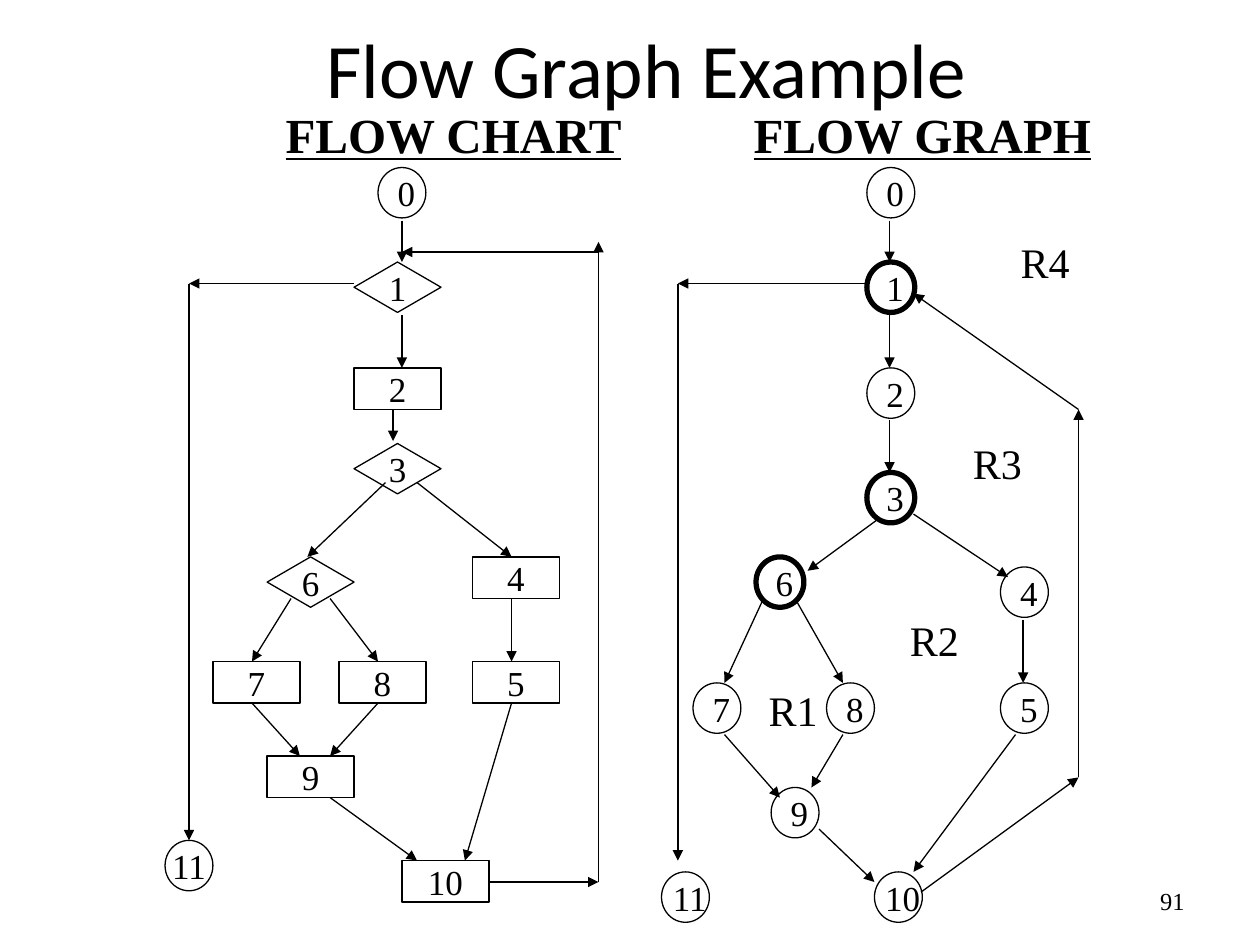
import pptx
import pptx.util
import pptx.dml.color
import pptx.enum.shapes
import pptx.enum.text
import pptx.oxml.ns
from lxml import etree

Inches = pptx.util.Inches
Pt = pptx.util.Pt
Kind = pptx.enum.shapes.MSO_SHAPE
Align = pptx.enum.text.PP_ALIGN
Anchor = pptx.enum.text.MSO_ANCHOR


def color(text):
    return pptx.dml.color.RGBColor.from_string(text)


class Board:
    ink = "000000"
    serif = "Times New Roman"
    thin = 0.75
    thick = 3
    shapes = {
        "round": (Kind.OVAL, 0.38, 0.4),
        "choice": (Kind.FLOWCHART_DECISION, 0.69, 0.4),
        "step": (Kind.RECTANGLE, 0.69, 0.33),
    }

    def __init__(self, slide):
        self.slide = slide

    def label(self, frame, text, size, font=None, bold=False, line=False,
              align=Align.CENTER):
        para = frame.paragraphs[0]
        para.alignment = align
        run = para.add_run()
        run.text = text
        run.font.size = Pt(size)
        run.font.name = font or self.serif
        run.font.bold = bold
        run.font.underline = line
        run.font.color.rgb = color(self.ink)

    def text(self, box, text, size, wrap=False, anchor=Anchor.TOP, **look):
        item = self.slide.shapes.add_textbox(*map(Inches, box))
        frame = item.text_frame
        frame.word_wrap = wrap
        frame.vertical_anchor = anchor
        self.label(frame, text, size, **look)

    def node(self, kind, left, top, text, shift=0, bold=False):
        """Draw a numbered node; shift is the left inset of its number."""
        form, width, height = self.shapes[kind]
        item = self.slide.shapes.add_shape(
            form, *map(Inches, (left, top, width, height)))
        item.shadow.inherit = False
        item.fill.background()
        item.line.color.rgb = color(self.ink)
        item.line.width = Pt(self.thick if bold else self.thin)
        frame = item.text_frame
        frame.word_wrap = False
        frame.vertical_anchor = Anchor.MIDDLE
        frame.margin_left = Inches(shift)
        frame.margin_right = frame.margin_top = frame.margin_bottom = 0
        self.label(frame, text, 20)

    def arrow(self, *ends):
        item = self.slide.shapes.add_connector(
            pptx.enum.shapes.MSO_CONNECTOR.STRAIGHT, *map(Inches, ends))
        item.line.color.rgb = color(self.ink)
        item.line.width = Pt(self.thin)
        qn = pptx.oxml.ns.qn
        props = item.element.spPr
        tail = etree.SubElement(props.find(qn("a:ln")), qn("a:tailEnd"))
        tail.set("type", "triangle")
        etree.SubElement(props, qn("a:effectLst"))


CHART = [
    ("round", 3, 1.33, "0", 0.07),
    ("choice", 2.81, 2.08, "1"),
    ("step", 2.81, 2.92, "2"),
    ("choice", 2.81, 3.52, "3"),
    ("step", 3.75, 4.42, "4"),
    ("step", 3.75, 5.25, "5"),
    ("choice", 2.12, 4.42, "6"),
    ("step", 1.69, 5.25, "7"),
    ("step", 2.69, 5.25, "8"),
    ("step", 2.12, 6, "9"),
    ("step", 3.19, 6.83, "10"),
    ("round", 1.31, 6.67, "11"),
]
# Places of graph nodes 0 to 11
GRAPH = [
    (6.88, 1.33), (6.88, 2.08), (6.88, 2.92), (6.88, 3.75),
    (7.94, 4.5), (7.94, 5.42), (6, 4.42), (5.5, 5.42),
    (6.56, 5.42), (6.12, 6.25), (6.94, 6.92), (5.25, 6.92),
]
FORKS = (1, 3, 6)
CHART_FLOW = [
    (3.19, 1.75, 3.19, 2.08), (3.19, 2.5, 3.19, 2.92),
    (3.12, 3.25, 3.12, 3.5), (3.06, 3.83, 2.44, 4.42),
    (3.31, 3.83, 4.06, 4.42), (4.06, 4.75, 4.06, 5.25),
    (2.31, 4.75, 2, 5.25), (2.62, 4.75, 3, 5.25),
    (2, 5.58, 2.38, 6), (3, 5.58, 2.62, 6),
    (2.62, 6.33, 3.31, 6.83), (4.06, 5.58, 3.69, 6.83),
    (2.81, 2.25, 1.5, 2.25), (1.5, 2.25, 1.5, 6.67),
    (3.88, 7, 4.75, 7), (4.75, 7, 4.75, 1.92), (4.75, 2, 3.19, 2),
]
GRAPH_FLOW = [
    (7.06, 1.75, 7.06, 2.08), (7.06, 2.5, 7.06, 2.92),
    (7.06, 3.33, 7.06, 3.75), (6.97, 4.12, 6.41, 4.53),
    (7.25, 4.08, 8, 4.58), (6.06, 4.75, 5.75, 5.42),
    (6.31, 4.75, 6.69, 5.42), (5.75, 5.83, 6.19, 6.33),
    (6.69, 5.83, 6.44, 6.25), (6.5, 6.58, 6.94, 7),
    (8.06, 5.83, 7.25, 6.92), (8.12, 4.92, 8.12, 5.42),
    (6.88, 2.25, 5.38, 2.25), (5.38, 2.25, 5.38, 6.83),
    (7.31, 7.08, 8.56, 6.17), (8.56, 6.17, 8.56, 3.25),
    (8.56, 3.25, 7.25, 2.33),
]
REGIONS = [(6, 5.38), (7.12, 4.83), (7.62, 3.42), (8, 1.83)]


def main():
    deck = pptx.Presentation()
    deck.slide_width, deck.slide_height = Inches(10), Inches(7.5)
    board = Board(deck.slides.add_slide(deck.slide_layouts[6]))

    board.text((1.94, 0, 6.38, 1.08), "Flow Graph Example", 44, wrap=True,
               anchor=Anchor.MIDDLE, font="Calibri")
    board.text((7.17, 6.95, 2.33, 0.4), "91", 14, wrap=True,
               anchor=Anchor.MIDDLE, align=Align.RIGHT)

    for node in CHART:
        board.node(*node)
    for ends in CHART_FLOW:
        board.arrow(*ends)
    for num, (left, top) in enumerate(GRAPH):
        board.node("round", left, top, str(num), 0.07, num in FORKS)
    for ends in GRAPH_FLOW:
        board.arrow(*ends)

    for num, (left, top) in enumerate(REGIONS, 1):
        board.text((left, top, 0.59, 0.5), f"R{num}", 24)
    for left, head in ((2.15, "FLOW CHART"), (5.87, "FLOW GRAPH")):
        board.text((left, 0.78, 2.9, 0.57), head, 28, bold=True, line=True)

    deck.save("out.pptx")


if __name__ == "__main__":
    main()
